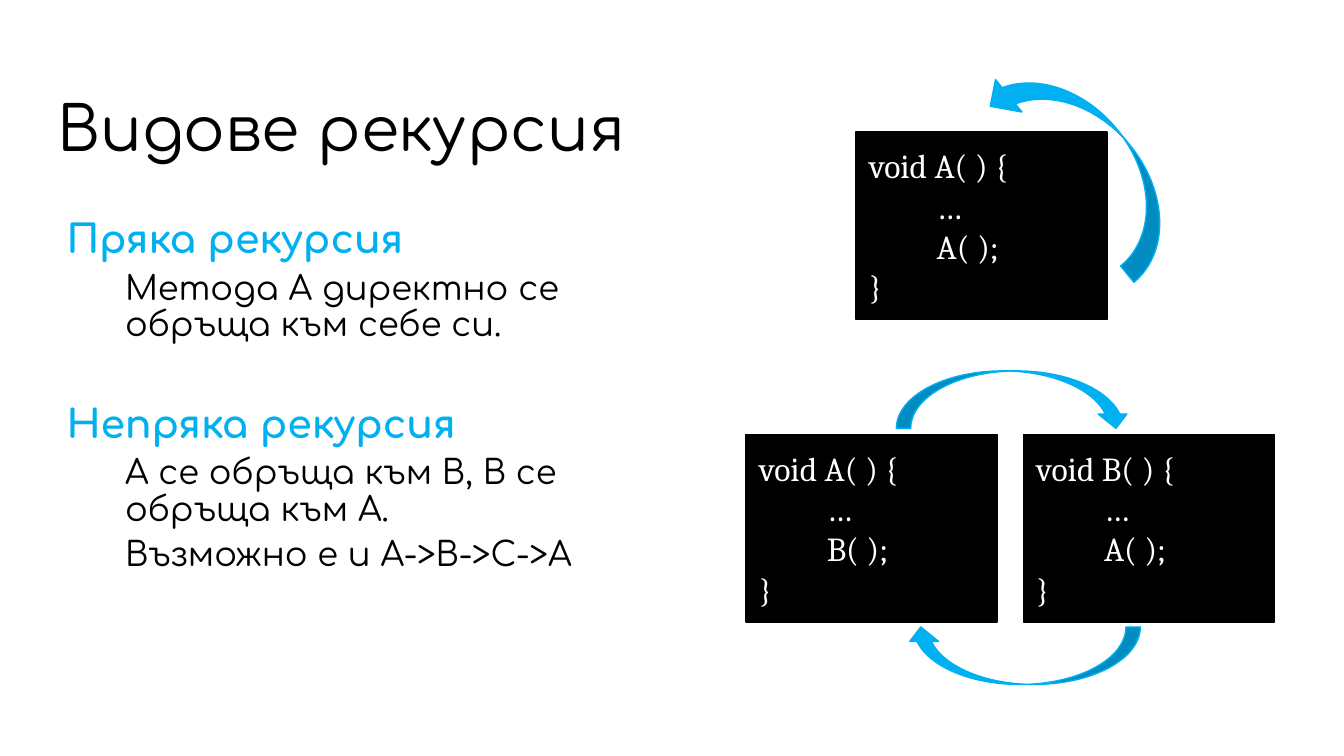
from pptx import Presentation
from pptx.dml.color import RGBColor
from pptx.enum import shapes, text
from pptx.util import Inches, Pt

BLACK = RGBColor(0x00, 0x00, 0x00)
WHITE = RGBColor(0xFF, 0xFF, 0xFF)
BLUE = RGBColor(0x00, 0xB0, 0xF0)


def add_paragraph(frame, content, *, font, size, color, bold=False, margin=0,
                  first_line=0, line_spacing=None, before=0):
    """Fill the frame's empty first paragraph, or append a new one."""
    paragraph = frame.paragraphs[0]
    if paragraph.runs:
        paragraph = frame.add_paragraph()
    properties = paragraph._p.get_or_add_pPr()
    properties.set("marL", str(Inches(margin)))
    properties.set("indent", str(Inches(first_line)))
    paragraph.alignment = text.PP_ALIGN.LEFT
    paragraph.space_before = Pt(before)
    if line_spacing:
        paragraph.line_spacing = line_spacing
    run = paragraph.add_run()
    run.text = content
    run.font.name = font
    run.font.size = Pt(size)
    run.font.bold = bold
    run.font.color.rgb = color


class RecursionSlide:
    text_font = "Comfortaa"
    code_font = "Cambria"
    code_size = (2.49, 1.86)

    def __init__(self, presentation):
        self.slide = presentation.slides.add_slide(presentation.slide_layouts[6])

    def prepare_frame(self, shape, side, top, anchor):
        frame = shape.text_frame
        frame.word_wrap = True
        frame.vertical_anchor = anchor
        frame.margin_left = frame.margin_right = Inches(side)
        frame.margin_top = frame.margin_bottom = Inches(top)
        return frame

    def text_box(self, left, top, width, height, anchor=text.MSO_ANCHOR.TOP):
        box = self.slide.shapes.add_textbox(*map(Inches, (left, top, width, height)))
        return self.prepare_frame(box, 0.12, 0.04, anchor)

    def title(self, content):
        frame = self.text_box(0.45, 0.89, 12.42, 0.84, text.MSO_ANCHOR.MIDDLE)
        add_paragraph(frame, content, font=self.text_font, size=44, color=BLACK,
                      line_spacing=0.9)

    def topics(self, topics):
        """Write each heading with its indented explanations below it."""
        frame = self.text_box(0.45, 2.14, 6.47, 4.52)
        for index, (heading, explanations) in enumerate(topics):
            add_paragraph(frame, heading, font=self.text_font, size=28, color=BLUE,
                          bold=True, margin=0.09, line_spacing=0.9,
                          before=43 if index else 0)
            for explanation in explanations:
                add_paragraph(frame, explanation, font=self.text_font, size=24,
                              color=BLACK, margin=0.67, line_spacing=0.9, before=6.7)

    def solid_shape(self, kind, left, top, width, height, color):
        shape = self.slide.shapes.add_shape(
            kind, *map(Inches, (left, top, width, height)))
        shape.shadow.inherit = False
        shape.fill.solid()
        shape.fill.fore_color.rgb = color
        shape.line.color.rgb = color
        shape.line.width = Pt(1)
        return shape

    def method_code(self, left, top, method, called):
        """Draw the code of a method that calls another one."""
        box = self.solid_shape(shapes.MSO_SHAPE.RECTANGLE, left, top,
                               *self.code_size, BLACK)
        frame = self.prepare_frame(box, 0.13, 0.13, text.MSO_ANCHOR.TOP)
        lines = [(f"void {method}( ) {{", 0), ("…", 0.67),
                 (f"{called}( );", 0.67), ("}", 0)]
        for line, first_line in lines:
            add_paragraph(frame, line, font=self.code_font, size=24, color=WHITE,
                          first_line=first_line)

    def call_arrow(self, kind, left, top, width, height, rotation=0):
        arrow = self.solid_shape(kind, left, top, width, height, BLUE)
        for index, value in enumerate((0.25, 0.5, 0.25)):
            arrow.adjustments[index] = value
        arrow.rotation = rotation


def main():
    presentation = Presentation()
    presentation.slide_width = Inches(13.33)
    presentation.slide_height = Inches(7.5)

    slide = RecursionSlide(presentation)
    slide.title("Видове рекурсия")
    slide.topics([
        ("Пряка рекурсия", ["Метода А директно се обръща към себе си."]),
        ("Непряка рекурсия", ["А се обръща към В, В се обръща към А.",
                              "Възможно е и А->В->С->А"]),
    ])

    slide.method_code(8.49, 1.31, "A", "A")
    slide.call_arrow(shapes.MSO_SHAPE.CURVED_UP_ARROW, 9.56, 1.17, 2.46, 0.83, 230.8)

    slide.method_code(7.4, 4.31, "A", "B")
    slide.method_code(10.15, 4.31, "B", "A")
    curved_down = shapes.MSO_SHAPE.CURVED_DOWN_ARROW
    slide.call_arrow(curved_down, 8.89, 3.68, 2.32, 0.57)
    slide.call_arrow(curved_down, 8.99, 6.22, 2.32, 0.57, 180)

    presentation.save("out.pptx")


if __name__ == "__main__":
    main()
